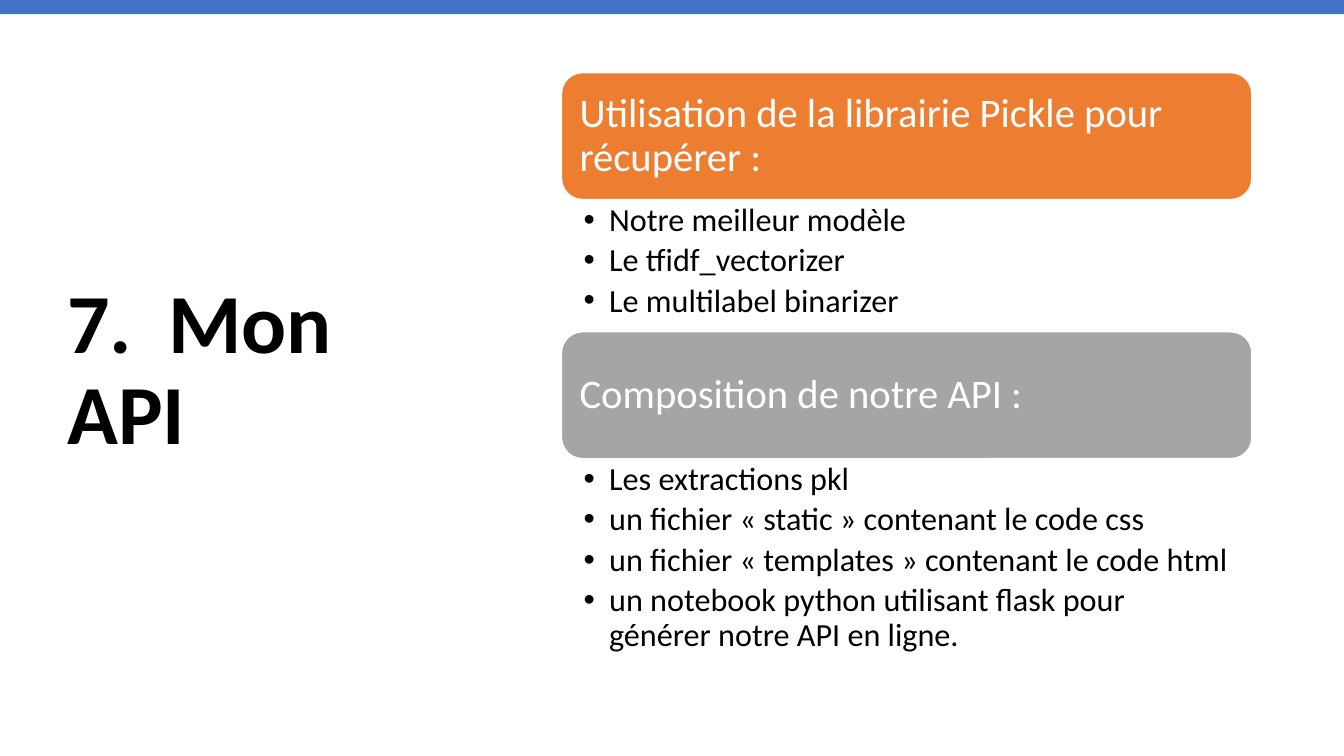
from dataclasses import dataclass

from lxml import etree
from pptx import Presentation
from pptx.dml.color import RGBColor
from pptx.enum import shapes, text
from pptx.oxml import ns
from pptx.util import Cm, Pt


@dataclass(frozen=True)
class Theme:
    font: str = "Calibri"
    black: str = "000000"
    white: str = "FFFFFF"
    blue: str = "4472C4"
    orange: str = "ED7D31"
    grey: str = "A5A5A5"
    title: int = 60
    head: int = 29
    item: int = 23


THEME = Theme()
LEFT, WIDTH, HEAD = 14.15, 17.4, 3.2
TOP = 1.83

PANELS = [
    ("Utilisation de la librairie Pickle pour récupérer :", THEME.orange, 3.33,
     ["Notre meilleur modèle", "Le tfidf_vectorizer", "Le multilabel binarizer"]),
    ("Composition de notre API :", THEME.grey, 5.33,
     ["Les extractions pkl",
      "un fichier « static » contenant le code css",
      "un fichier « templates » contenant le code html",
      "un notebook python utilisant flask pour générer notre API en ligne."]),
]


def place(shape, left, top, width, height):
    shape.left, shape.top = Cm(left), Cm(top)
    shape.width, shape.height = Cm(width), Cm(height)


def inset(frame, left, top, right, bottom):
    frame.margin_left, frame.margin_top = Cm(left), Cm(top)
    frame.margin_right, frame.margin_bottom = Cm(right), Cm(bottom)


def style(para, size, color, bold=False, after=0):
    para.alignment = text.PP_ALIGN.LEFT
    para.line_spacing = 0.9
    para.space_before, para.space_after = Pt(0), Pt(after)
    para.font.name, para.font.size, para.font.bold = THEME.font, Pt(size), bold
    para.font.color.rgb = RGBColor.from_string(color)


def bullet(para):
    props = para._p.get_or_add_pPr()
    props.set("marL", str(Cm(0.64)))
    props.set("indent", str(-Cm(0.64)))
    mark = etree.Element(ns.qn("a:buChar"), char="•")
    props.insert_element_before(mark, "a:tabLst", "a:defRPr", "a:extLst")


def add_block(slide, kind, box, color):
    block = slide.shapes.add_shape(kind, *map(Cm, box))
    block.shadow.inherit = False
    block.fill.solid()
    block.fill.fore_color.rgb = RGBColor.from_string(color)
    block.line.fill.background()
    return block


def set_title(shape, words):
    place(shape, 1.45, 1.73, 10.57, 15.29)
    frame = shape.text_frame
    frame.text = words
    frame.auto_size = text.MSO_AUTO_SIZE.NONE
    frame.vertical_anchor = text.MSO_ANCHOR.MIDDLE
    inset(frame, 0.25, 0.13, 0.6, 0.13)
    style(frame.paragraphs[0], THEME.title, THEME.black, bold=True)


def add_head(slide, top, words, color):
    head = add_block(slide, shapes.MSO_SHAPE.ROUNDED_RECTANGLE,
                     (LEFT, top, WIDTH, HEAD), color)
    head.line.color.rgb = RGBColor.from_string(THEME.white)
    head.line.width = Pt(1)
    frame = head.text_frame
    frame.text = words
    frame.word_wrap = True
    frame.vertical_anchor = text.MSO_ANCHOR.MIDDLE
    inset(frame, 0.3, 0.3, 0.3, 0.3)
    style(frame.paragraphs[0], THEME.head, THEME.white)


def set_list(shape, top, height, items):
    place(shape, LEFT, top, WIDTH, height)
    frame = shape.text_frame
    frame.text = "\n".join(items)
    frame.auto_size = text.MSO_AUTO_SIZE.NONE
    frame.vertical_anchor = text.MSO_ANCHOR.TOP
    inset(frame, 0.56, 0.1, 0.58, 0.1)
    for para in frame.paragraphs:
        style(para, THEME.item, THEME.black, after=4)
        bullet(para)


def main():
    deck = Presentation()
    deck.slide_width, deck.slide_height = Cm(33.87), Cm(19.05)
    slide = deck.slides.add_slide(deck.slide_layouts.get_by_name("Two Content"))
    title, *bodies = slide.placeholders

    set_title(title, "7.\tMon API")
    add_block(slide, shapes.MSO_SHAPE.RECTANGLE, (0, 0, 33.87, 0.36), THEME.blue)

    top = TOP
    for body, (words, color, height, items) in zip(bodies, PANELS):
        add_head(slide, top, words, color)
        set_list(body, top + HEAD, height, items)
        top += HEAD + height

    deck.save("out.pptx")


if __name__ == "__main__":
    main()
